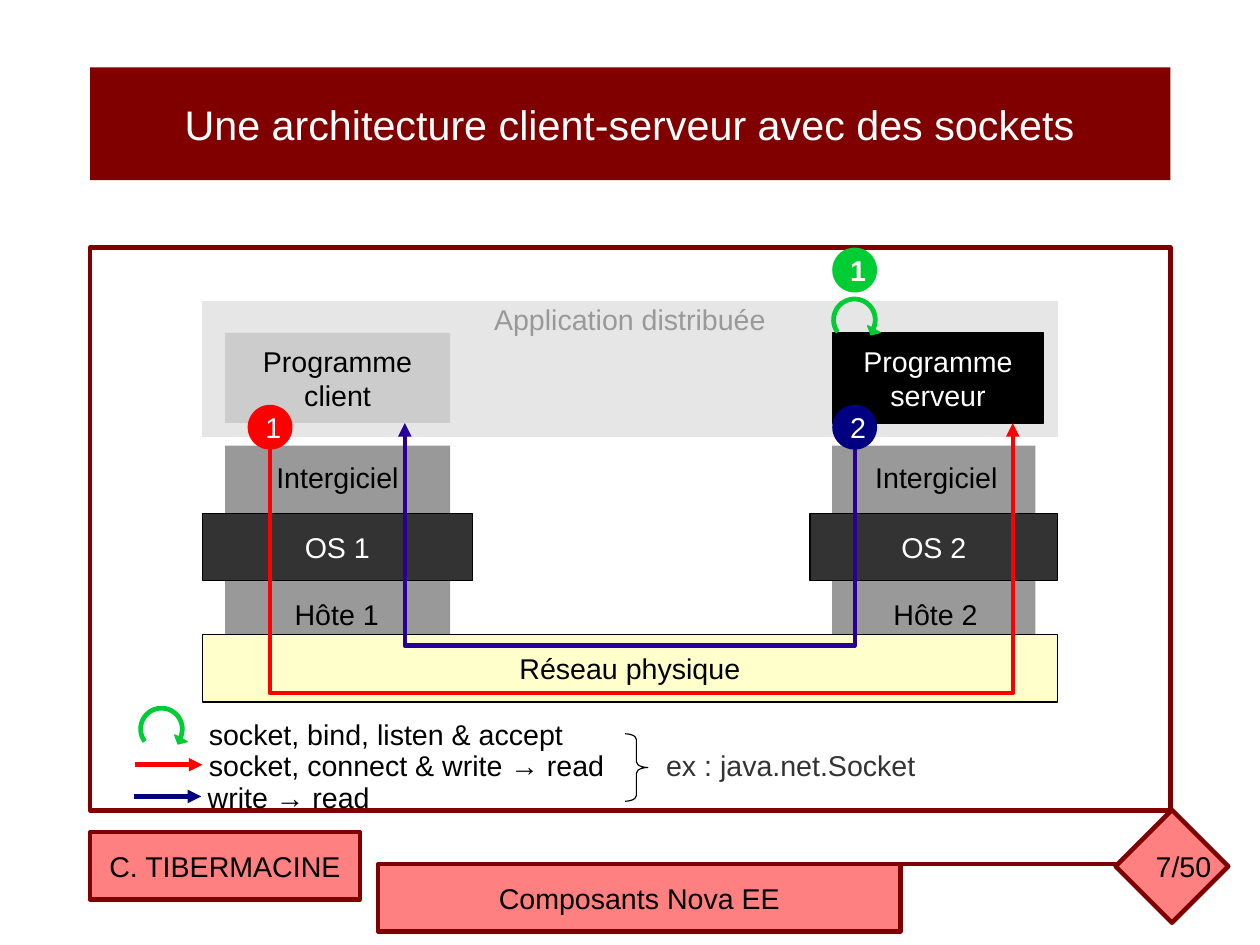
from math import cos, radians, sin

from lxml.etree import SubElement
from pptx import Presentation
from pptx.dml.color import RGBColor as RGB
from pptx.enum.shapes import MSO_CONNECTOR as CONN, MSO_SHAPE as SHAPE
from pptx.enum.text import MSO_ANCHOR as ANCHOR, PP_ALIGN as ALIGN
from pptx.oxml.ns import qn
from pptx.util import Pt

THEME = {
    "font": "Arial", "body": 18, "title": 26, "bold": 2.83, "hair": 0,
    "white": "FFFFFF", "black": "000000", "maroon": "800000", "pink": "FF8080",
    "pale": "E6E6E6", "silver": "CCCCCC", "muted": "999999", "dark": "333333",
    "cream": "FFFFCC", "red": "FF0000", "navy": "000080", "violet": "280099",
    "green": "00CC33",
}

SLIDE = (793.7, 595.3)
LEFT, SERVER_X = 127.5, 524.25
FRAME_X, FRAME_W = 56.75, 680.5
OS_Y, BAR_H = 323.25, 42.5
PROGRAM_Y, PROGRAM_H = 209.75, 56.75
BADGE = 28.25
BADGE_Y = 255

APPLICATION = ((LEFT, 190, 538.5, 85), "Application distribuée")
HOSTS = [(141.75, 280.75), (141.75, 436.5), (652.25, 436.5), (652.25, 280.75),
         (SERVER_X, 280.75), (SERVER_X, 401.75), (283.5, 401.75), (283.5, 280.75)]
FOOTER_RULE = (708.5, 544.25, SERVER_X, 544.25)

BOXES = [
    ((FRAME_X, 42.5, FRAME_W, 71), ["Une architecture client-serveur avec des sockets"],
     "maroon", None, None, "white", "title"),
    ((FRAME_X, 156, FRAME_W, 354.5), [], None, "maroon", "bold", "black", "body"),
    ((FRAME_X, 524.25, 170, BAR_H), ["C. TIBERMACINE"], "pink", "maroon", "bold", "black", "body"),
    ((238.25, 544.25, 329, BAR_H), ["Composants Nova EE"], "pink", "maroon", "bold", "black", "body"),
    ((LEFT, 399.75, 538.5, BAR_H), ["Réseau physique"], "cream", "black", "hair", "black", "body"),
    ((LEFT, OS_Y, 170, BAR_H), ["OS 1"], "dark", "black", "hair", "white", "body"),
    ((510.25, OS_Y, 156, BAR_H), ["OS 2"], "dark", "black", "hair", "white", "body"),
    ((141.75, PROGRAM_Y, 141.75, PROGRAM_H), ["Programme", "client"],
     "silver", None, None, "black", "body"),
    ((SERVER_X, PROGRAM_Y, 133.25, PROGRAM_H), ["Programme", "serveur"],
     "black", "black", "hair", "white", "body"),
]
DIAMOND = (702.75, 510.25, 71, 71)
PAGE = ((714.25, 531.5, 62.5, 67.5), "7/50")

FLOWS = [
    ([(170, 266.5), (170, 436.5), (638, 436.5), (638, 266.5)], "red"),
    ([(538.5, 266.5), (538.5, 406.75), (255, 406.75), (255, 266.5)], "violet"),
]
KEY_ARROWS = [((85, 481.75, 127.5, 481.75), "red"), ((84.25, 501.75, 126.75, 501.75), "navy")]
LABELS = [
    (167, 286.5, 100, "Intergiciel", "black"),
    (544.25, 286.5, 100, "Intergiciel", "black"),
    (178.5, 372.5, 80, "Hôte 1", "black"),
    (555.75, 372.5, 80, "Hôte 2", "black"),
    (124.5, 448, 260, "socket, bind, listen & accept", "black"),
    (124.5, 467.75, 275, "socket, connect & write → read", "black"),
    (123.75, 487.75, 130, "write → read", "black"),
    (412.5, 467.75, 190, "ex\u00a0: java.net.Socket", "dark"),
]
BADGES = [(156, BADGE_Y, "1", "red", False), (SERVER_X, BADGE_Y, "2", "navy", False),
          (SERVER_X, 156, "1", "green", True)]
LOOPS = [(538.25, 201.5), (101.75, 459.25)]
LOOP_HEAD = [(16.2, 8), (10.4, 9.5), (8.3, 3.7), (11.2, 5.1)]
BRACE = (393.75, 462.25, 14.25, 42.5)

prs = Presentation()
prs.slide_width, prs.slide_height = map(Pt, SLIDE)
s = prs.slides.add_slide(prs.slide_layouts[6])


def color(name):
    return RGB.from_string(THEME[name])


def paint(sp, fill=None, line=None, width="hair"):
    sp.shadow.inherit = False
    if fill:
        sp.fill.solid()
        sp.fill.fore_color.rgb = color(fill)
    else:
        sp.fill.background()
    if line:
        sp.line.width = Pt(THEME[width])
        sp.line.color.rgb = color(line)
    else:
        sp.line.fill.background()


def write(sp, lines, ink, size="body", align=ALIGN.CENTER, anchor=ANCHOR.MIDDLE, bold=False):
    tf = sp.text_frame
    tf.word_wrap, tf.vertical_anchor = True, anchor
    for i, line in enumerate(lines):
        p = tf.add_paragraph() if i else tf.paragraphs[0]
        p.alignment = align
        r = p.add_run()
        r.text = line
        r.font.name, r.font.size = THEME["font"], Pt(THEME[size])
        r.font.color.rgb, r.font.bold = color(ink), bold


def shape(kind, box, fill=None, line=None, width="hair"):
    sp = s.shapes.add_shape(kind, *map(Pt, box))
    paint(sp, fill, line, width)
    return sp


def outline(points, closed, fill=None, line=None, width="hair"):
    first, *rest = [(Pt(x), Pt(y)) for x, y in points]
    fb = s.shapes.build_freeform(*first)
    fb.add_line_segments(rest, close=closed)
    sp = fb.convert_to_shape()
    paint(sp, fill, line, width)
    return sp


def arrowhead(sp):
    SubElement(sp.line._get_or_add_ln(), qn("a:tailEnd"), type="triangle")


def connector(ends, line):
    sp = s.shapes.add_connector(CONN.STRAIGHT, *map(Pt, ends))
    sp.line.width = Pt(THEME["bold"])
    sp.line.color.rgb = color(line)
    SubElement(sp._element.spPr, qn("a:effectLst"))
    return sp


def text_box(box, text, ink, align=ALIGN.CENTER):
    write(s.shapes.add_textbox(*map(Pt, box)), [text], ink, align=align, anchor=ANCHOR.TOP)


def arc(cx, cy, radius, angles):
    return [(cx + radius * cos(radians(a)), cy + radius * sin(radians(a))) for a in angles]


box, text = APPLICATION
sp = shape(SHAPE.RECTANGLE, box, "pale", "pale")
write(sp, [text], "muted", anchor=ANCHOR.TOP)
sp.text_frame.margin_top = Pt(0)
outline(HOSTS, True, "muted")
connector(FOOTER_RULE, "maroon")

for box, lines, fill, line, width, ink, size in BOXES:
    write(shape(SHAPE.RECTANGLE, box, fill, line, width), lines, ink, size)
shape(SHAPE.DIAMOND, DIAMOND, "pink", "maroon", "bold")
text_box(*PAGE, "black")

for points, line in FLOWS:
    arrowhead(outline(points, False, None, line, "bold"))
for ends, line in KEY_ARROWS:
    arrowhead(connector(ends, line))
for x, y, w, text, ink in LABELS:
    text_box((x, y, w, 27.5), text, ink, ALIGN.LEFT)
for x, y, text, fill, bold in BADGES:
    write(shape(SHAPE.OVAL, (x, y, BADGE, BADGE), fill), [text], "white", bold=bold)
for cx, cy in LOOPS:
    outer = arc(cx, cy, 14.25, range(145, 386, 8))
    inner = arc(cx, cy, 12, range(385, 144, -8))
    head = [(cx + dx, cy + dy) for dx, dy in LOOP_HEAD]
    outline(outer + head + inner, True, "green", "green")

sp = shape(SHAPE.RIGHT_BRACE, BRACE, None, "black")
sp.adjustments[0], sp.adjustments[1] = 0.25, 0.5

prs.save("out.pptx")
